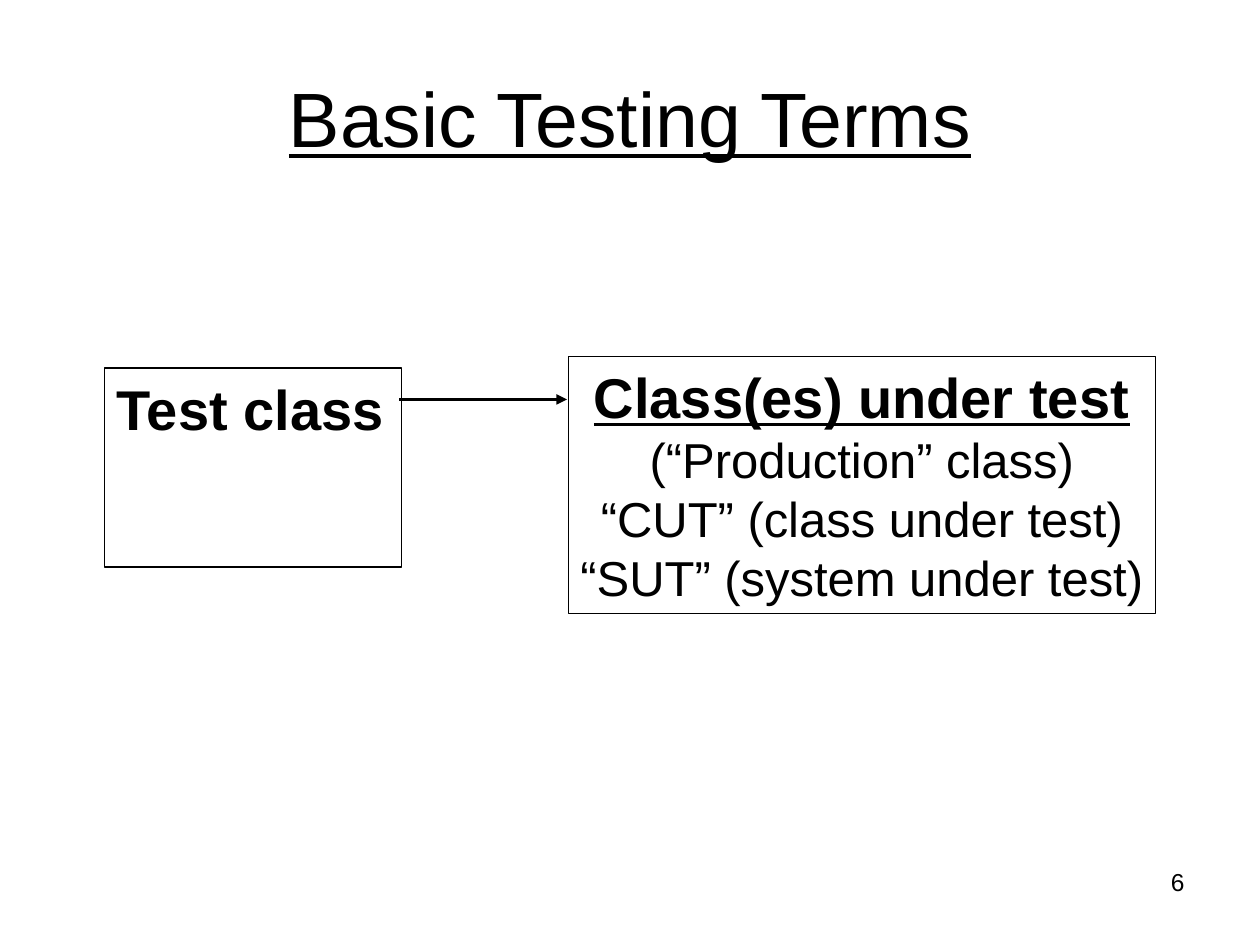
import pptx
import pptx.util
import pptx.dml.color
import pptx.enum.shapes
import pptx.enum.text
import pptx.oxml.ns
from lxml import etree

Inches, Pt = pptx.util.Inches, pptx.util.Pt
ALIGN = pptx.enum.text.PP_ALIGN
ANCHOR = pptx.enum.text.MSO_ANCHOR

WIDTH, HEIGHT = 10, 7.5
INK = "000000"
FONT = "Arial"

# Each line: text, size, bold, underlined
TITLE = [("Basic Testing Terms", 44, False, True)]
TEST_CLASS = [("Test class", 32, True, False)]
CLASS_UNDER_TEST = [
    ("Class(es) under test", 32, True, True),
    ("(“Production” class)", 28, False, False),
    ("“CUT” (class under test)", 28, False, False),
    ("“SUT” (system under test)", 28, False, False),
]
PAGE_NUMBER = [("6", 14, False, False)]

# Left, top, width, height as shares of the slide
TITLE_AREA = (0.05, 0.04, 0.9, 1 / 6)
TEST_AREA = (0.083, 0.389, 0.236, 0.211)
UNDER_TEST_AREA = (0.451, 0.378, 0.466, 0.272)
NUMBER_AREA = (0.717, 0.91, 0.233, 0.07)
ARROW_START, ARROW_END, ARROW_HEIGHT = 0.317, 0.45, 0.423


def color(hex_string):
    return pptx.dml.color.RGBColor.from_string(hex_string)


def across(share):
    return Inches(round(share * WIDTH, 2))


def down(share):
    return Inches(round(share * HEIGHT, 2))


def place(area):
    left, top, width, height = area
    return across(left), down(top), across(width), down(height)


def write(frame, lines, align, anchor=ANCHOR.TOP, side_margin=0.1):
    frame.word_wrap = True
    frame.vertical_anchor = anchor
    frame.margin_left = frame.margin_right = Inches(side_margin)
    for index, (text, size, bold, underline) in enumerate(lines):
        paragraph = frame.add_paragraph() if index else frame.paragraphs[0]
        paragraph.text = text
        paragraph.alignment = align
        font = paragraph.font
        font.name, font.size = FONT, Pt(size)
        font.bold, font.underline = bold, underline
        font.color.rgb = color(INK)


def add_class_box(slide, area, lines, align, side_margin=0.1):
    box = slide.shapes.add_shape(
        pptx.enum.shapes.MSO_SHAPE.RECTANGLE, *place(area))
    box.shadow.inherit = False
    box.fill.background()
    box.line.color.rgb = color(INK)
    box.line.width = Pt(0.75)
    write(box.text_frame, lines, align, side_margin=side_margin)


def add_arrow(slide, start, end, height):
    arrow = slide.shapes.add_connector(
        pptx.enum.shapes.MSO_CONNECTOR.STRAIGHT,
        across(start), down(height), across(end), down(height))
    arrow.line.color.rgb = color(INK)
    arrow.line.width = Pt(2)
    qn = pptx.oxml.ns.qn
    etree.SubElement(arrow.get_or_add_ln(), qn("a:tailEnd"), type="triangle")
    etree.SubElement(arrow.element.spPr, qn("a:effectLst"))


def main():
    deck = pptx.Presentation()
    deck.slide_width, deck.slide_height = Inches(WIDTH), Inches(HEIGHT)
    slide = deck.slides.add_slide(deck.slide_layouts[5])

    title = slide.shapes.title
    title.left, title.top, title.width, title.height = place(TITLE_AREA)
    write(title.text_frame, TITLE, ALIGN.CENTER, ANCHOR.MIDDLE)

    add_class_box(slide, TEST_AREA, TEST_CLASS, ALIGN.LEFT)
    # Narrow side margins keep the longest line whole
    add_class_box(slide, UNDER_TEST_AREA, CLASS_UNDER_TEST, ALIGN.CENTER,
                  side_margin=0.05)
    add_arrow(slide, ARROW_START, ARROW_END, ARROW_HEIGHT)

    number = slide.shapes.add_textbox(*place(NUMBER_AREA))
    write(number.text_frame, PAGE_NUMBER, ALIGN.RIGHT)

    deck.save("out.pptx")


if __name__ == "__main__":
    main()
